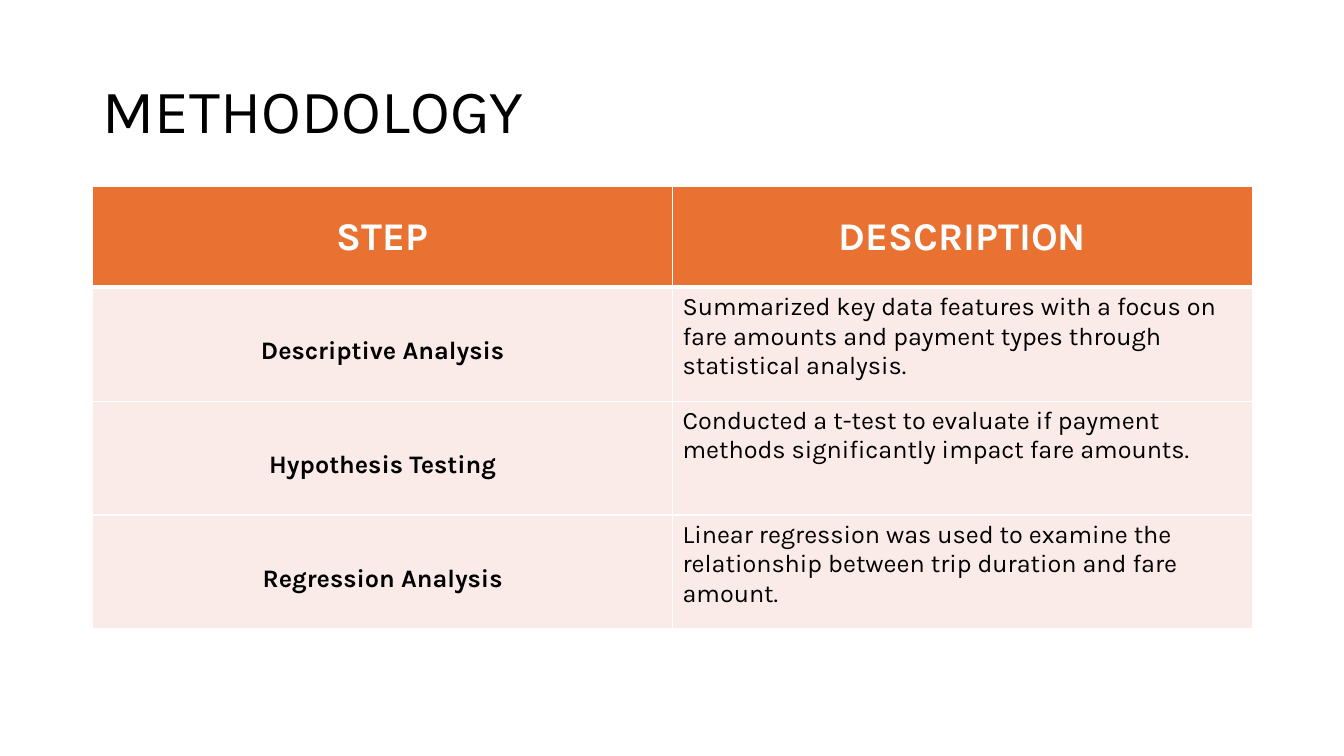
from dataclasses import dataclass

from lxml import etree
from pptx import Presentation
from pptx.dml.color import RGBColor
from pptx.enum.text import MSO_ANCHOR, PP_ALIGN
from pptx.oxml.ns import qn
from pptx.slide import Slide
from pptx.table import _Cell
from pptx.text.text import TextFrame
from pptx.util import Emu, Pt

EMU_PER_PX = 9144
EMU_PER_POINT = 12700
FONT = "Karla"
BLACK = RGBColor(0x00, 0x00, 0x00)
WHITE = RGBColor(0xFF, 0xFF, 0xFF)
ORANGE = RGBColor(0xE9, 0x71, 0x32)
BLUSH = RGBColor(0xFB, 0xEB, 0xE8)
CENTER = PP_ALIGN.CENTER
LEFT = PP_ALIGN.LEFT
MIDDLE = MSO_ANCHOR.MIDDLE

SLIDE_WIDTH, SLIDE_HEIGHT = 1333, 750
MARGIN, CONTENT_WIDTH = 92, 1150
TITLE_TOP, TITLE_HEIGHT = 40, 145
TABLE_TOP, HEADER_HEIGHT, STEP_HEIGHT = 185, 100, 113
THIN, THICK = 1, 3


@dataclass(frozen=True)
class TextStyle:
    size: int
    color: RGBColor
    bold: bool = False
    align: PP_ALIGN = LEFT
    line_spacing: float = 1.0


@dataclass(frozen=True)
class Step:
    name: str
    description: str


TITLE_STYLE = TextStyle(44, BLACK, line_spacing=0.9)
HEADER_STYLE = TextStyle(28, WHITE, True, CENTER, 1.5)
NAME_STYLE = TextStyle(18, BLACK, True, CENTER, 2.5)
DESCRIPTION_STYLE = TextStyle(18, BLACK)

HEADINGS = ("STEP", "DESCRIPTION")
STEPS = (
    Step(
        "Descriptive Analysis",
        "Summarized key data features with a focus on fare amounts "
        "and payment types through statistical analysis.",
    ),
    Step(
        "Hypothesis Testing",
        "Conducted a t-test to evaluate if payment methods "
        "significantly impact fare amounts.",
    ),
    Step(
        "Regression Analysis",
        "Linear regression was used to examine the relationship "
        "between trip duration and fare amount.",
    ),
)


def px(length: int) -> Emu:
    """Turn a length in px into EMU."""
    return Emu(length * EMU_PER_PX)


def write(frame: TextFrame, text: str, style: TextStyle) -> None:
    """Fill a text frame with one styled paragraph."""
    frame.text = text
    paragraph = frame.paragraphs[0]
    paragraph.alignment = style.align
    paragraph.line_spacing = style.line_spacing
    font = paragraph.runs[0].font
    font.name = FONT
    font.size = Pt(style.size)
    font.bold = style.bold
    font.color.rgb = style.color


def add_borders(cell: _Cell, top: int, bottom: int) -> None:
    """Draw white borders around a cell, with widths in points."""
    properties = cell._tc.get_or_add_tcPr()
    widths = {"a:lnL": THIN, "a:lnR": THIN, "a:lnT": top, "a:lnB": bottom}
    for tag, width in widths.items():
        border = etree.SubElement(properties, qn(tag), w=str(width * EMU_PER_POINT))
        fill = etree.SubElement(border, qn("a:solidFill"))
        etree.SubElement(fill, qn("a:srgbClr"), val=str(WHITE))


def add_title(slide: Slide, text: str) -> None:
    """Add the slide title."""
    title = slide.shapes.add_textbox(
        px(MARGIN), px(TITLE_TOP), px(CONTENT_WIDTH), px(TITLE_HEIGHT)
    )
    title.text_frame.word_wrap = True
    title.text_frame.vertical_anchor = MIDDLE
    write(title.text_frame, text, TITLE_STYLE)


def add_steps_table(slide: Slide) -> None:
    """Add the table of steps under its header row."""
    contents = [HEADINGS] + [(step.name, step.description) for step in STEPS]
    height = HEADER_HEIGHT + STEP_HEIGHT * len(STEPS)
    table = slide.shapes.add_table(
        len(contents), len(HEADINGS),
        px(MARGIN), px(TABLE_TOP), px(CONTENT_WIDTH), px(height),
    ).table
    table.horz_banding = False
    for row, texts in enumerate(contents):
        is_header = row == 0
        table.rows[row].height = px(HEADER_HEIGHT if is_header else STEP_HEIGHT)
        styles = (HEADER_STYLE,) * 2 if is_header else (NAME_STYLE, DESCRIPTION_STYLE)
        for column, (text, style) in enumerate(zip(texts, styles)):
            cell = table.cell(row, column)
            write(cell.text_frame, text, style)
            add_borders(cell, THICK if row == 1 else THIN, THICK if is_header else THIN)
            cell.fill.solid()
            cell.fill.fore_color.rgb = ORANGE if is_header else BLUSH


def main() -> None:
    """Build and save the methodology slide."""
    presentation = Presentation()
    presentation.slide_width = px(SLIDE_WIDTH)
    presentation.slide_height = px(SLIDE_HEIGHT)
    slide = presentation.slides.add_slide(presentation.slide_layouts[6])
    add_title(slide, "METHODOLOGY")
    add_steps_table(slide)
    presentation.save("out.pptx")


if __name__ == "__main__":
    main()
